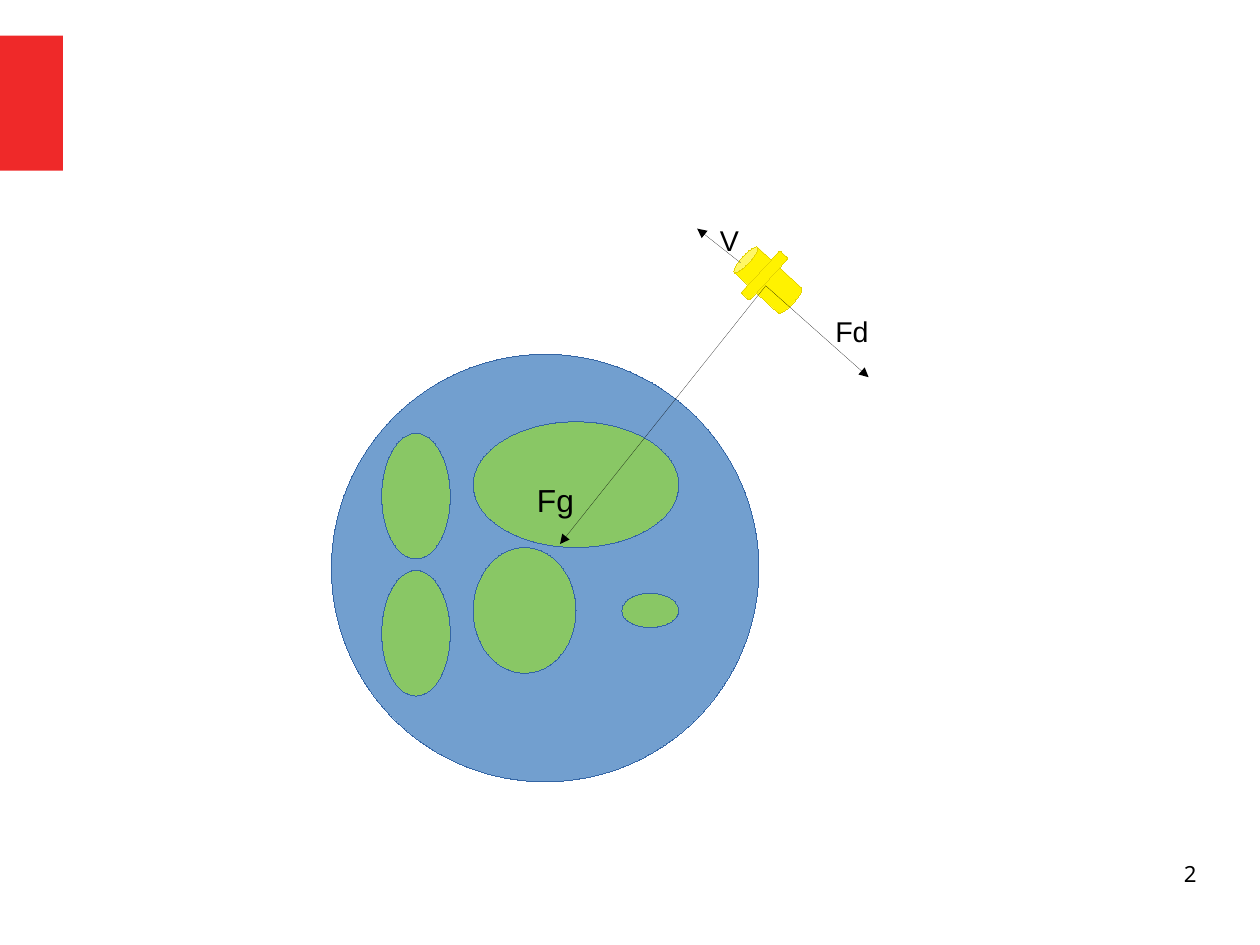
from dataclasses import dataclass

from lxml.etree import SubElement
from pptx import Presentation
from pptx.dml.color import RGBColor
from pptx.enum.shapes import MSO_CONNECTOR, MSO_SHAPE
from pptx.enum.text import MSO_AUTO_SIZE, PP_ALIGN
from pptx.oxml.ns import qn
from pptx.util import Pt


@dataclass(frozen=True)
class Theme:
    accent: str = "EF2929"
    ocean: str = "729FCF"
    land: str = "89C765"
    globe_line: str = "3465A4"
    metal: str = "FFF200"
    metal_line: str = "E3D200"
    ink: str = "000000"
    label_font: str = "Arial"
    number_font: str = "Noto Sans"
    large: int = 20
    medium: int = 18
    small: int = 14


def write(box, text, *, font, size, color, align=PP_ALIGN.LEFT):
    para = box.text_frame.paragraphs[0]
    para.alignment = align
    span = para.add_run()
    span.text = text
    span.font.name = font
    span.font.size = Pt(size)
    span.font.color.rgb = RGBColor.from_string(color)


class Sketch:
    def __init__(self, page, theme):
        self.page = page
        self.theme = theme

    def hairline(self, shape, color):
        shape.line.color.rgb = RGBColor.from_string(color)
        properties = shape.line._get_or_add_ln()
        # A zero width must be explicit, or the theme's width applies
        properties.set("w", "0")
        return properties

    def shape(self, kind, bounds, fill, line=None, rotation=0, adjust=None, parent=None):
        shapes = (parent or self.page).shapes
        shape = shapes.add_shape(kind, *map(Pt, bounds))
        shape.shadow.inherit = False
        shape.rotation = rotation
        shape.fill.solid()
        shape.fill.fore_color.rgb = RGBColor.from_string(fill)
        if line:
            self.hairline(shape, line)
        else:
            shape.line.fill.background()
        if adjust is not None:
            shape.adjustments[0] = adjust

    def arrow(self, start, end):
        arrow = self.page.shapes.add_connector(
            MSO_CONNECTOR.STRAIGHT, *map(Pt, (*start, *end)))
        properties = self.hairline(arrow, self.theme.ink)
        SubElement(properties, qn("a:tailEnd"), type="triangle")
        SubElement(properties.getparent(), qn("a:effectLst"))

    def label(self, text, bounds, size, rotation=0, wrap=False):
        box = self.page.shapes.add_textbox(*map(Pt, bounds))
        box.rotation = rotation
        box.text_frame.word_wrap = wrap
        box.text_frame.auto_size = MSO_AUTO_SIZE.SHAPE_TO_FIT_TEXT
        write(box, text, font=self.theme.label_font, size=size, color=self.theme.ink)

    def number(self, text, bounds):
        box = self.page.shapes.add_textbox(*map(Pt, bounds))
        frame = box.text_frame
        frame.word_wrap = True
        frame.margin_left = frame.margin_right = 0
        frame.margin_top = frame.margin_bottom = 0
        write(box, text, font=self.theme.number_font, size=self.theme.small,
              color=self.theme.ink, align=PP_ALIGN.RIGHT)


def main():
    theme = Theme()
    deck = Presentation()
    deck.slide_width, deck.slide_height = Pt(793.75), Pt(595.25)
    page = deck.slides.add_slide(deck.slide_layouts[6])
    sketch = Sketch(page, theme)

    # Side accent
    sketch.shape(MSO_SHAPE.RECTANGLE, (0, 22.5, 39.6, 85), theme.accent)

    # Satellite: body and panel share one tilt
    satellite = page.shapes.add_group_shape()
    for kind, bounds, adjust in (
        (MSO_SHAPE.CAN, (473, 154.8, 21.6, 43.2), 0.25),
        (MSO_SHAPE.ROUNDED_RECTANGLE, (463.7, 169.9, 36, 7.2), 0.167),
    ):
        sketch.shape(kind, bounds, theme.metal, theme.metal_line,
                     rotation=312.7, adjust=adjust, parent=satellite)

    # Planet and its continents
    sketch.shape(MSO_SHAPE.OVAL, (208.8, 223.2, 269.3, 269.3), theme.ocean,
                 theme.globe_line, rotation=1.9)
    west, east, tall = 240.5, 298.1, 79.2
    for continent in (
        (west, 272.9, 43.2, tall),
        (east, 265.7, 129.6, tall),
        (west, 359.3, 43.2, tall),
        (east, 344.9, 64.8, tall),
        (391.7, 373.7, 36, 21.6),
    ):
        sketch.shape(MSO_SHAPE.OVAL, continent, theme.land, theme.globe_line)

    # Gravity, drag and velocity
    center = (482.4, 180)
    sketch.arrow(center, (352.8, 342.7))
    sketch.label("Fg", (331.2, 299.5, 41, 29.5), theme.large, rotation=359.8, wrap=True)
    sketch.arrow(center, (547.2, 237.6))
    sketch.label("Fd", (519.1, 194.4, 35.3, 27.4), theme.medium)
    sketch.arrow((466.6, 165.6), (439.2, 144))
    sketch.label("V", (446.4, 136.8, 25.9, 27.4), theme.medium)

    # Page number
    sketch.number("2", (568.8, 542.2, 185, 41))

    deck.save("out.pptx")


if __name__ == "__main__":
    main()
